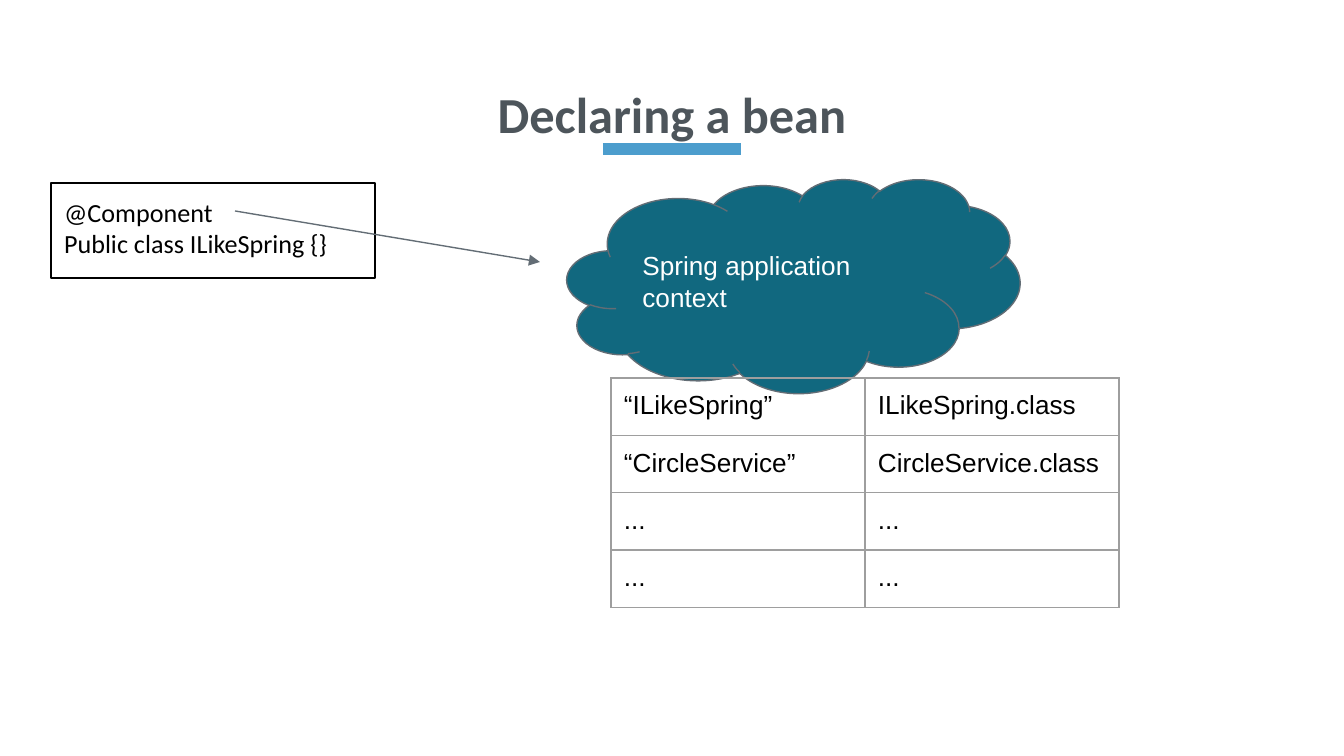
from lxml import etree
from pptx import Presentation
from pptx.dml.color import RGBColor
from pptx.enum.shapes import MSO_CONNECTOR, MSO_SHAPE
from pptx.enum.text import MSO_ANCHOR, PP_ALIGN
from pptx.oxml import parse_xml
from pptx.oxml.ns import nsdecls, qn
from pptx.util import Pt

PX = 914400 / 134.4
STRAIGHT = MSO_CONNECTOR.STRAIGHT
RECTANGLE, CLOUD = MSO_SHAPE.RECTANGLE, MSO_SHAPE.CLOUD
TOP, MIDDLE, BOTTOM = MSO_ANCHOR.TOP, MSO_ANCHOR.MIDDLE, MSO_ANCHOR.BOTTOM
LEFT, CENTER = PP_ALIGN.LEFT, PP_ALIGN.CENTER
SLATE = "636D75"


def emu(*lengths):
    return [round(length * PX) for length in lengths]


def style_text(frame, size, font, color, bold=False, align=LEFT):
    for para in frame.paragraphs:
        para.alignment = align
        for span in para.runs:
            span.font.size = Pt(size)
            span.font.name = font
            span.font.bold = bold
            span.font.color.rgb = RGBColor.from_string(color)


deck = Presentation()
deck.slide_width, deck.slide_height = emu(1344, 756)
page = deck.slides.add_slide(deck.slide_layouts[6])

# Title
title = page.shapes.add_textbox(*emu(46, 66, 1252, 84))
frame = title.text_frame
frame.word_wrap = True
frame.vertical_anchor = BOTTOM
frame.text = "Declaring a bean"
frame.paragraphs[0].line_spacing = 0.8
style_text(frame, 27, "Calibri", "4D555B", bold=True, align=CENTER)

# Code box and context cloud
shapes = [
    (RECTANGLE, (51, 183, 324, 95), None, "000000", TOP,
     "@Component\nPublic class ILikeSpring {}", "Calibri", "000000"),
    (CLOUD, (567, 179, 453, 214), "11687F", SLATE, MIDDLE,
     "Spring application context", "Arial", "FFFFFF"),
]
for kind, place, fill, outline, anchor, text, font, color in shapes:
    box = page.shapes.add_shape(kind, *emu(*place))
    box.shadow.inherit = False
    if fill:
        box.fill.solid()
        box.fill.fore_color.rgb = RGBColor.from_string(fill)
    else:
        box.fill.background()
    box.line.color.rgb = RGBColor.from_string(outline)
    box.line.width = Pt(0.75)
    frame = box.text_frame
    frame.word_wrap = True
    frame.vertical_anchor = anchor
    frame.margin_left, frame.margin_top, frame.margin_right, frame.margin_bottom = emu(13, 13, 13, 13)
    frame.text = text
    style_text(frame, 14, font, color)

# Title underline and arrow into the context
lines = [
    ((603, 149, 741, 149), "4C9DCD", 6, False),
    ((235, 211, 540, 262), SLATE, 0.75, True),
]
for ends, color, width, has_arrow in lines:
    connector = page.shapes.add_connector(STRAIGHT, *emu(*ends))
    connector.line.color.rgb = RGBColor.from_string(color)
    connector.line.width = Pt(width)
    if has_arrow:
        etree.SubElement(connector.line._get_or_add_ln(), qn("a:tailEnd"), type="triangle")
    etree.SubElement(connector._element.spPr, qn("a:effectLst"))

# Bean registry
beans = [
    ("“ILikeSpring”", "ILikeSpring.class"),
    ("“CircleService”", "CircleService.class"),
    ("...", "..."),
    ("...", "..."),
]
table = page.shapes.add_table(len(beans), 2, *emu(611, 378, 508, 224)).table
table.first_row = False
table.horz_banding = False
for row, names in enumerate(beans):
    for column, name in enumerate(names):
        cell = table.cell(row, column)
        cell.margin_left, cell.margin_top, cell.margin_right, cell.margin_bottom = emu(13, 13, 13, 13)
        cell.text_frame.text = name
        style_text(cell.text_frame, 14, "Arial", "000000")
        properties = cell._tc.get_or_add_tcPr()
        for side in ("lnL", "lnR", "lnT", "lnB"):
            properties.append(parse_xml(
                f'<a:{side} {nsdecls("a")} w="{Pt(0.75)}"><a:solidFill>'
                f'<a:srgbClr val="9E9E9E"/></a:solidFill></a:{side}>'))
        cell.fill.background()

deck.save("out.pptx")
